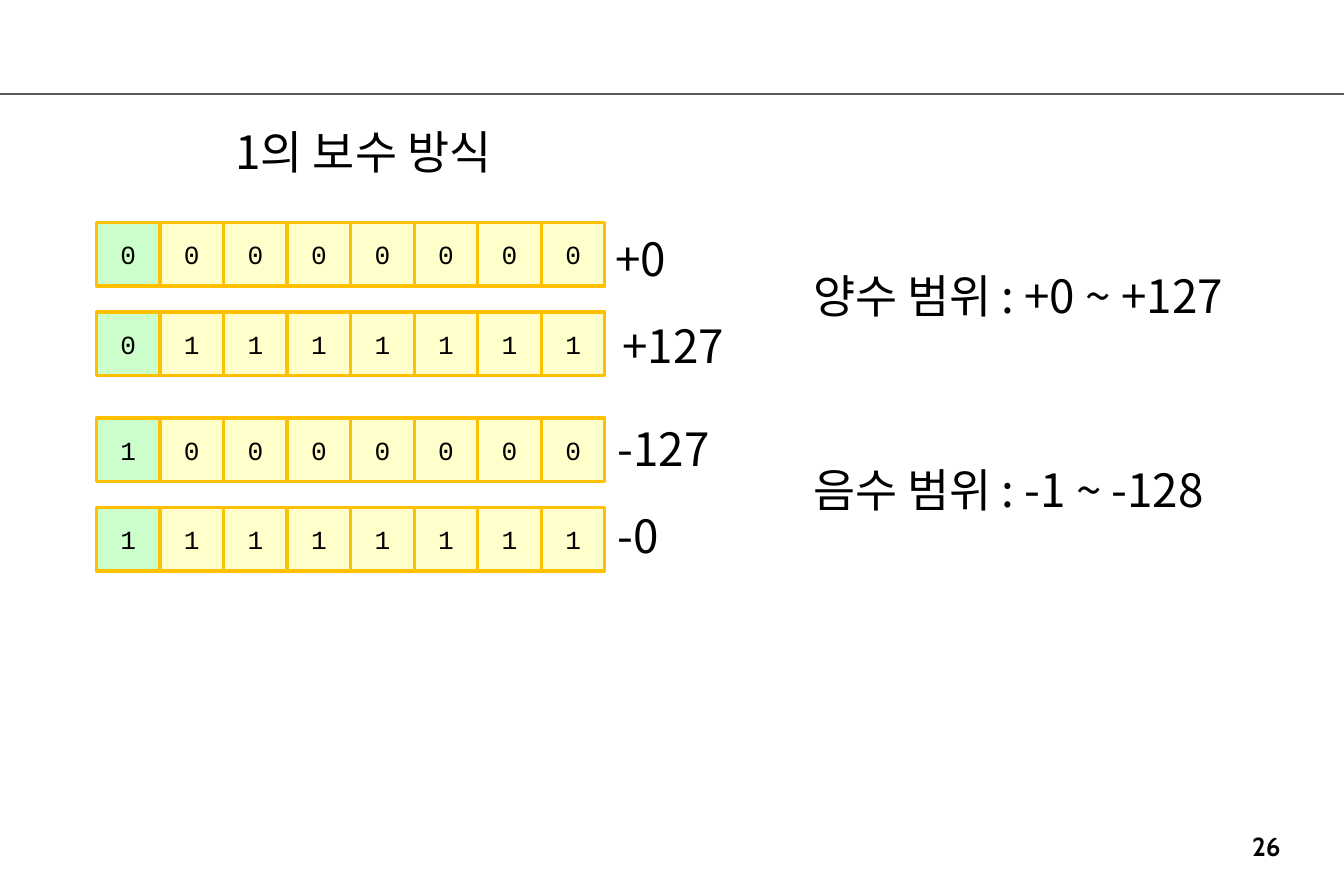
from dataclasses import dataclass

from lxml import etree
from pptx import Presentation
from pptx.dml.color import RGBColor
from pptx.enum.shapes import MSO_CONNECTOR, MSO_SHAPE
from pptx.enum.text import MSO_ANCHOR, MSO_AUTO_SIZE, PP_ALIGN
from pptx.oxml.ns import qn
from pptx.util import Emu, Pt

RECTANGLE = MSO_SHAPE.RECTANGLE
STRAIGHT = MSO_CONNECTOR.STRAIGHT
LEFT, CENTER = PP_ALIGN.LEFT, PP_ALIGN.CENTER
TOP, MIDDLE = MSO_ANCHOR.TOP, MSO_ANCHOR.MIDDLE
NO_AUTOFIT = MSO_AUTO_SIZE.NONE

SLIDE_WIDTH, SLIDE_HEIGHT = 1142, 750
CELL = 54
LABEL_HEIGHT = 57
LABEL_INSET = 10
TITLE_ONLY = 5


@dataclass(frozen=True)
class Theme:
    text: str = "000000"
    rule: str = "595959"
    sign_bit: str = "CCFFCC"
    value_bit: str = "FFFFCC"
    cell_border: str = "FFC000"
    label_font: str = "Noto Sans CJK KR"
    bit_font: str = "Courier New"
    number_font: str = "Cabin"
    label_size: int = 28
    small_size: int = 16
    rule_width: float = 1.5
    border_width: int = 2


THEME = Theme()


def px(length):
    return Emu(length * 9144)


def color(value):
    return RGBColor.from_string(value)


def place(shape, box):
    shape.left, shape.top, shape.width, shape.height = map(px, box)


def write(shape, text, font, size, align, anchor, inset=0, bold=False):
    frame = shape.text_frame
    frame.text = text
    frame.auto_size = NO_AUTOFIT
    frame.word_wrap = False
    frame.vertical_anchor = anchor
    frame.margin_left = frame.margin_right = px(inset)
    frame.margin_top = frame.margin_bottom = 0
    paragraph = frame.paragraphs[0]
    paragraph.alignment = align
    for run in paragraph.runs:
        run.font.size = Pt(size)
        run.font.bold = bold
        run.font.color.rgb = color(THEME.text)
        run.font.name = font
        east_asian = etree.SubElement(run.font._element, qn("a:ea"))
        east_asian.set("typeface", font)


def write_label(shape, text):
    write(shape, text, THEME.label_font, THEME.label_size, LEFT, MIDDLE, LABEL_INSET)


def add_label(slide, box, text):
    write_label(slide.shapes.add_textbox(*map(px, box)), text)


def add_title(slide, box, text):
    title = slide.shapes.title
    place(title, box)
    write_label(title, text)


def add_rule(slide, box):
    left, top, width, height = box
    rule = slide.shapes.add_connector(
        STRAIGHT, px(left), px(top), px(left + width), px(top + height))
    rule.line.color.rgb = color(THEME.rule)
    rule.line.width = Pt(THEME.rule_width)
    etree.SubElement(rule._element.spPr, qn("a:effectLst"))


def add_bit_row(slide, box, bits):
    left, top, width, height = box
    pitch = width // len(bits)
    for index, bit in enumerate(bits):
        cell = slide.shapes.add_shape(
            RECTANGLE, px(left + index * pitch), px(top), px(pitch), px(height))
        cell.shadow.inherit = False
        cell.fill.solid()
        cell.fill.fore_color.rgb = color(THEME.value_bit if index else THEME.sign_bit)
        cell.line.color.rgb = color(THEME.cell_border)
        cell.line.width = Pt(THEME.border_width)
        write(cell, bit, THEME.bit_font, THEME.small_size, CENTER, MIDDLE)


def add_bit_table(slide, box):
    left, top, width = box
    rows = (
        (0, "00000000", "+0", (-2, 2), 69),
        (76, "01111111", "+127", (4, 0), 112),
        (166, "10000000", "-127", (0, -3), 101),
        (242, "11111111", "-0", (0, -5), 58),
    )
    for offset, bits, value, (shift_x, shift_y), label_width in rows:
        row_top = top + offset
        add_bit_row(slide, (left, row_top, width, CELL), bits)
        label_box = (left + width + 1 + shift_x, row_top + shift_y,
                     label_width, LABEL_HEIGHT)
        add_label(slide, label_box, value)


def add_ranges(slide, box):
    left, top, width, pitch = box
    ranges = ("양수 범위 : +0 ~ +127", "음수 범위 : -1 ~ -128")
    for index, text in enumerate(ranges):
        add_label(slide, (left, top + index * pitch, width, LABEL_HEIGHT), text)


def add_page_number(slide, box, text):
    number = slide.shapes.add_textbox(*map(px, box))
    write(number, text, THEME.number_font, THEME.small_size, CENTER, TOP, bold=True)


def main():
    presentation = Presentation()
    presentation.slide_width = px(SLIDE_WIDTH)
    presentation.slide_height = px(SLIDE_HEIGHT)
    slide = presentation.slides.add_slide(presentation.slide_layouts[TITLE_ONLY])
    add_rule(slide, (0, 80, SLIDE_WIDTH, 0))
    add_title(slide, (190, 100, 266, LABEL_HEIGHT), "1의 보수 방식")
    add_bit_table(slide, (82, 189, 8 * CELL))
    add_ranges(slide, (681, 222, 438, 165))
    add_page_number(slide, (1046, 705, 60, 24), "26")
    presentation.save("out.pptx")


if __name__ == "__main__":
    main()
